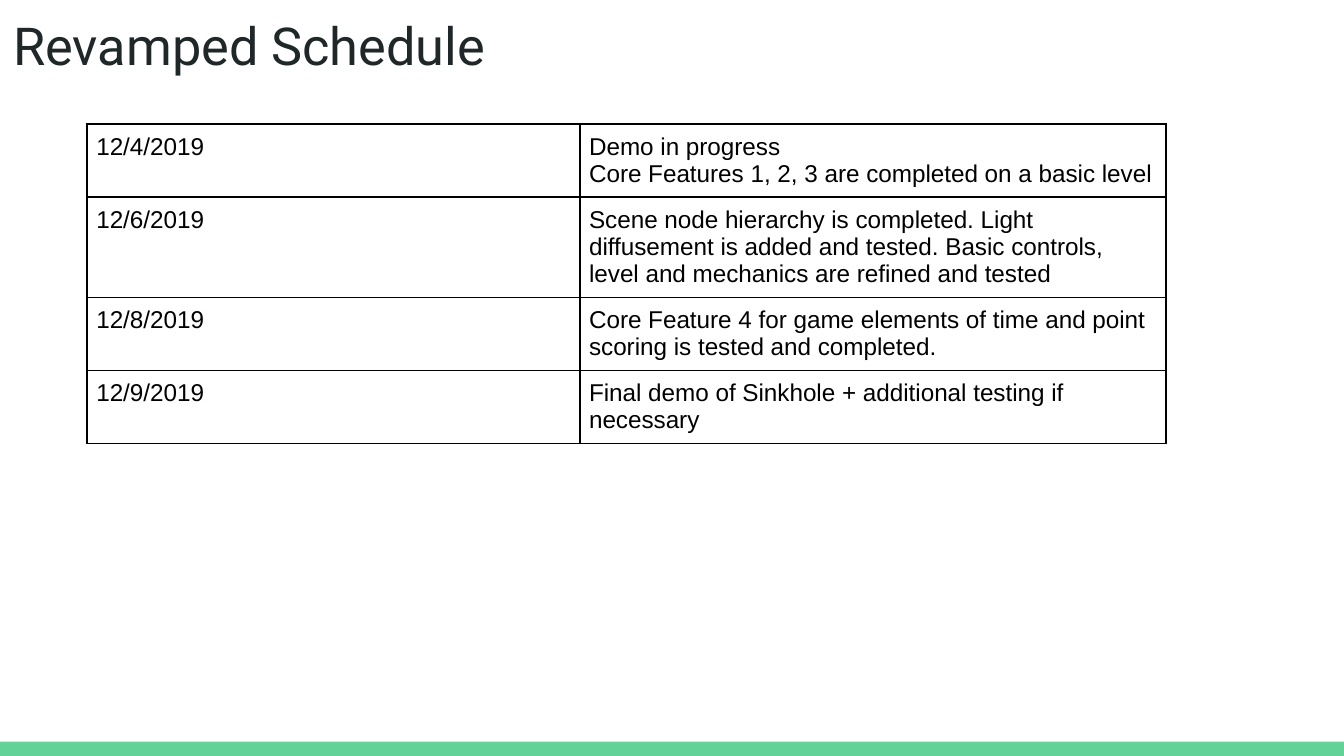
from lxml import etree
from pptx import Presentation
from pptx.dml.color import RGBColor
from pptx.enum.shapes import MSO_SHAPE
from pptx.enum.text import MSO_ANCHOR, MSO_AUTO_SIZE, PP_ALIGN
from pptx.oxml.ns import qn
from pptx.util import Pt

RECTANGLE = MSO_SHAPE.RECTANGLE
TOP = MSO_ANCHOR.TOP
LEFT = PP_ALIGN.LEFT
NO_AUTOFIT = MSO_AUTO_SIZE.NONE

HEADING = "Revamped Schedule"
MILESTONES = [
    ("12/4/2019", ["Demo in progress",
                   "Core Features 1, 2, 3 are completed on a basic level"], 2),
    ("12/6/2019", ["Scene node hierarchy is completed. Light diffusement is added and "
                   "tested. Basic controls, level and mechanics are refined and tested"], 3),
    ("12/8/2019", ["Core Feature 4 for game elements of time and point scoring is "
                   "tested and completed."], 2),
    ("12/9/2019", ["Final demo of Sinkhole + additional testing if necessary"], 2),
]

THEME = {
    "accent": "63D297",
    "border": "000000",
    "heading": {"name": "Roboto", "size": Pt(28), "bold": False, "color": "202729"},
    "body": {"name": "Arial", "size": Pt(13), "bold": False, "color": "000000"},
}

SLIDE_WIDTH, SLIDE_HEIGHT = 720, 405
STRIPE_HEIGHT = 7.6
TABLE_LEFT, TABLE_TOP = 46.6, 66.4
COLUMN_WIDTHS = [264, 314]
CELL_INSET = 5
LINE_HEIGHT = 14.6
BORDER_WIDTH = 1


def set_values(target, values):
    for key, value in values.items():
        setattr(target, key, value)


def write(frame, lines, style):
    frame.text = "\n".join(lines)
    for paragraph in frame.paragraphs:
        paragraph.alignment = LEFT
        for run in paragraph.runs:
            set_values(run.font, {k: v for k, v in style.items() if k != "color"})
            run.font.color.rgb = RGBColor.from_string(style["color"])


def margins(inset):
    return {f"margin_{side}": Pt(inset) for side in ("left", "top", "right", "bottom")}


def add_borders(cell):
    properties = cell._tc.get_or_add_tcPr()
    for side in ("lnL", "lnR", "lnT", "lnB"):
        line = etree.SubElement(properties, qn(f"a:{side}"), w=str(Pt(BORDER_WIDTH)))
        fill = etree.SubElement(line, qn("a:solidFill"))
        etree.SubElement(fill, qn("a:srgbClr"), val=THEME["border"])


def add_stripe(slide):
    stripe = slide.shapes.add_shape(
        RECTANGLE, 0, Pt(SLIDE_HEIGHT - STRIPE_HEIGHT), Pt(SLIDE_WIDTH), Pt(STRIPE_HEIGHT))
    stripe.shadow.inherit = False
    stripe.fill.solid()
    stripe.fill.fore_color.rgb = RGBColor.from_string(THEME["accent"])
    stripe.line.fill.background()


def add_heading(slide):
    heading = slide.shapes.title
    set_values(heading, {"left": 0, "top": 0, "width": Pt(671), "height": Pt(45.4)})
    set_values(heading.text_frame, {**margins(7.2), "vertical_anchor": TOP,
                                    "word_wrap": True, "auto_size": NO_AUTOFIT})
    write(heading.text_frame, [HEADING], THEME["heading"])


def add_schedule(slide):
    heights = [2 * CELL_INSET + LINE_HEIGHT * count for _, _, count in MILESTONES]
    schedule = slide.shapes.add_table(
        len(MILESTONES), len(COLUMN_WIDTHS), Pt(TABLE_LEFT), Pt(TABLE_TOP),
        Pt(sum(COLUMN_WIDTHS)), Pt(sum(heights))).table
    set_values(schedule, {"first_row": False, "horz_banding": False})
    for column, width in zip(schedule.columns, COLUMN_WIDTHS):
        column.width = Pt(width)
    for row, height, (date, goals, _) in zip(schedule.rows, heights, MILESTONES):
        row.height = Pt(height)
        for cell, lines in zip(row.cells, ([date], goals)):
            set_values(cell, {**margins(CELL_INSET), "vertical_anchor": TOP})
            add_borders(cell)
            cell.fill.background()
            write(cell.text_frame, lines, THEME["body"])


def main():
    deck = Presentation()
    set_values(deck, {"slide_width": Pt(SLIDE_WIDTH), "slide_height": Pt(SLIDE_HEIGHT)})
    slide = deck.slides.add_slide(deck.slide_layouts.get_by_name("Title Only"))
    add_stripe(slide)
    add_heading(slide)
    add_schedule(slide)
    deck.save("out.pptx")


if __name__ == "__main__":
    main()
